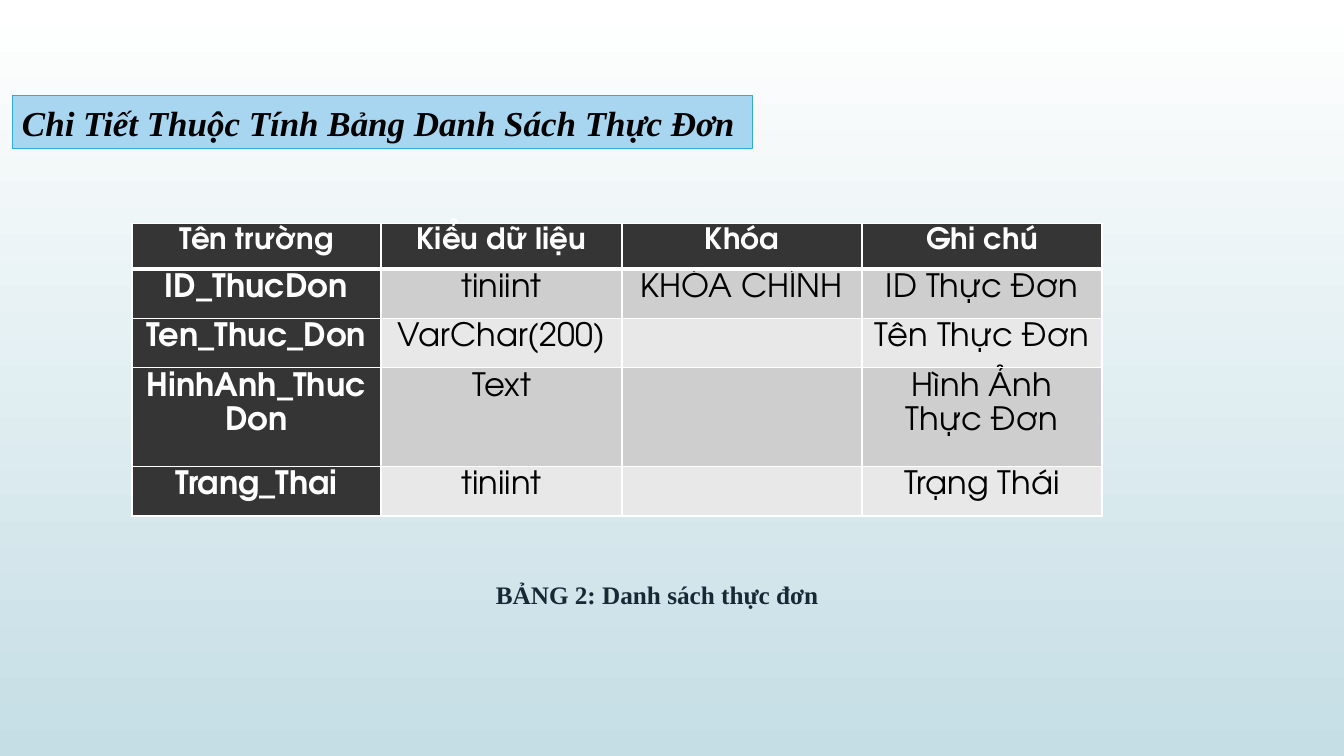
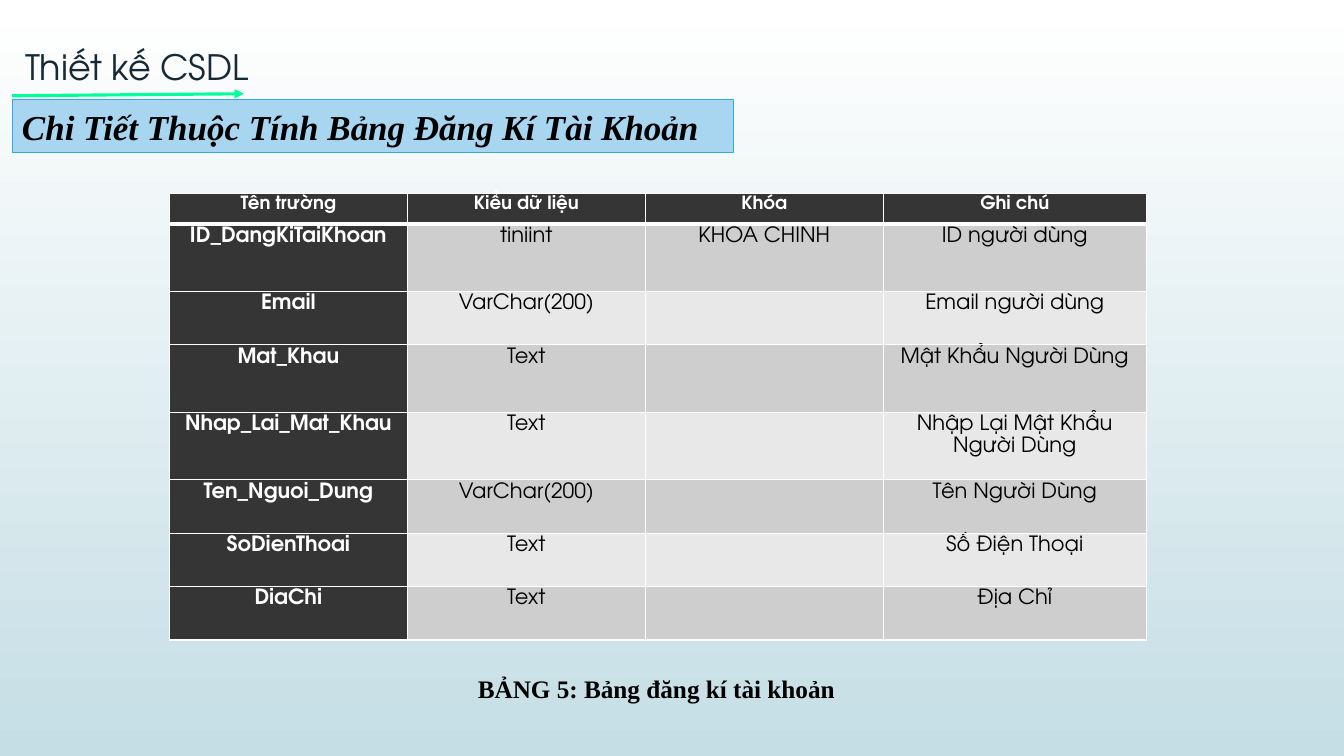
import pptx
import pptx.dml.color
import pptx.enum.dml
import pptx.enum.shapes
import pptx.enum.text
import pptx.oxml
import pptx.oxml.ns
import pptx.util
from pptx.util import Inches

RGBColor = pptx.dml.color.RGBColor
WHITE = RGBColor(0xFF, 0xFF, 0xFF)
BLACK = RGBColor(0x00, 0x00, 0x00)
INK = RGBColor(0x17, 0x29, 0x34)
MIST = RGBColor(0xC5, 0xDE, 0xE5)
CHARCOAL = RGBColor(0x35, 0x35, 0x35)
DARK_ROW = RGBColor(0xCE, 0xCE, 0xCE)
LIGHT_ROW = RGBColor(0xE8, 0xE8, 0xE8)
BAND_FILL = RGBColor(0xA8, 0xD5, 0xF0)
BAND_LINE = RGBColor(0x2F, 0xAC, 0xDC)
GREEN = RGBColor(0x00, 0xFF, 0x99)

SANS = "TeX Gyre Adventor"
SERIF = "Times New Roman"
LINE_SPACING = 1.15
HEADINGS = ("Tên trường", "Kiểu dữ liệu", "Khóa", "Ghi chú")

MENU_FIELDS = (
    ("ID_ThucDon", "tiniint", "KHÓA CHÍNH", "ID Thực Đơn"),
    ("Ten_Thuc_Don", "VarChar(200)", "", "Tên Thực Đơn"),
    ("HinhAnh_ThucDon", "Text", "", "Hình Ảnh Thực Đơn"),
    ("Trang_Thai", "tiniint", "", "Trạng Thái"),
)
ACCOUNT_FIELDS = (
    ("ID_DangKiTaiKhoan", "tiniint", "KHÓA CHÍNH", "ID người dùng"),
    ("Email", "VarChar(200)", "", "Email người dùng"),
    ("Mat_Khau", "Text", "", "Mật Khẩu Người Dùng"),
    ("Nhap_Lai_Mat_Khau", "Text", "", "Nhập Lại Mật Khẩu Người Dùng"),
    ("Ten_Nguoi_Dung", "VarChar(200)", "", "Tên Người Dùng"),
    ("SoDienThoai", "Text", "", "Số Điện Thoại"),
    ("DiaChi", "Text", "", "Địa Chỉ"),
)


def add_xml(parent, markup):
    """Append a DrawingML element, given without its namespace declaration."""
    head, rest = markup.split(" ", 1)
    parent.append(pptx.oxml.parse_xml(f"{head} {pptx.oxml.ns.nsdecls('a')} {rest}"))


class SchemaDeck:
    def __init__(self):
        self.deck = pptx.Presentation()
        self.deck.slide_width = Inches(13.33)
        self.deck.slide_height = Inches(7.5)
        self.page = None

    def new_page(self):
        self.page = self.deck.slides.add_slide(self.deck.slide_layouts[6])
        fill = self.page.background.fill
        fill.gradient()
        fill.gradient_angle = 270
        for stop, position, color in zip(fill.gradient_stops, (0, 1), (WHITE, MIST)):
            stop.position = position
            stop.color.rgb = color

    def set_text(self, frame, text, size, font, color, bold=False, italic=False):
        para = frame.paragraphs[0]
        para.text = text
        para.font.size = pptx.util.Pt(size)
        para.font.name = font
        para.font.color.rgb = color
        para.font.bold = bold
        para.font.italic = italic
        return para

    def text_box(self, left, top, width, height, wrap):
        box = self.page.shapes.add_textbox(
            Inches(left), Inches(top), Inches(width), Inches(height))
        box.text_frame.word_wrap = wrap
        box.text_frame.auto_size = pptx.enum.text.MSO_AUTO_SIZE.SHAPE_TO_FIT_TEXT
        return box.text_frame

    def title(self, text):
        frame = self.text_box(0.15, 0.4, 4.13, 0.52, True)
        self.set_text(frame, text, 25, SANS, INK)

    def caption(self, text, left, top, width, color, before=0, after=0, indent=0):
        frame = self.text_box(left, top, width, 0.45, False)
        para = self.set_text(frame, text, 18, SERIF, color, bold=True)
        para.line_spacing = LINE_SPACING
        para.space_before = pptx.util.Pt(before)
        para.space_after = pptx.util.Pt(after)
        para._p.get_or_add_pPr().set("marL", str(Inches(indent)))

    def band(self, text, top, width):
        band = self.page.shapes.add_shape(
            pptx.enum.shapes.MSO_SHAPE.RECTANGLE,
            Inches(0.12), Inches(top), Inches(width), Inches(0.52))
        band.shadow.inherit = False
        band.fill.solid()
        band.fill.fore_color.rgb = BAND_FILL
        band.line.color.rgb = BAND_LINE
        band.line.width = pptx.util.Pt(0.75)
        band.text_frame.word_wrap = True
        para = self.set_text(band.text_frame, text, 25, SERIF, BLACK, bold=True, italic=True)
        para.alignment = pptx.enum.text.PP_ALIGN.LEFT

    def arrow(self, start, end):
        arrow = self.page.shapes.add_connector(
            pptx.enum.shapes.MSO_CONNECTOR.STRAIGHT,
            *(Inches(value) for value in start + end))
        arrow.line.color.rgb = GREEN
        arrow.line.width = pptx.util.Pt(2.25)
        add_xml(arrow.line._get_or_add_ln(), '<a:tailEnd type="triangle"/>')
        add_xml(arrow._element.spPr, "<a:effectLst />")

    def borders(self, cell, row):
        """White rules, with a heavy one between the headings and the fields."""
        widths = {"L": 1, "R": 1, "T": 3 if row == 1 else 1, "B": 3 if row == 0 else 1}
        properties = cell._tc.get_or_add_tcPr()
        for side, points in widths.items():
            add_xml(properties,
                    f'<a:ln{side} w="{pptx.util.Pt(points)}"><a:solidFill>'
                    f'<a:srgbClr val="{WHITE}"/></a:solidFill></a:ln{side}>')

    def field_table(self, left, top, widths, heights, fields, heading_size, size, margin):
        rows = (HEADINGS,) + fields
        table = self.page.shapes.add_table(
            len(rows), len(widths), Inches(left), Inches(top),
            Inches(sum(widths)), Inches(sum(heights))).table
        for column, width in zip(table.columns, widths):
            column.width = Inches(width)
        for row, (texts, height) in enumerate(zip(rows, heights)):
            table.rows[row].height = Inches(height)
            for column, text in enumerate(texts):
                cell = table.cell(row, column)
                is_heading = row == 0 or column == 0
                self.borders(cell, row)
                cell.fill.solid()
                cell.fill.fore_color.rgb = (
                    CHARCOAL if is_heading else DARK_ROW if row % 2 else LIGHT_ROW)
                if not text:
                    continue
                cell.margin_left = cell.margin_right = Inches(margin)
                cell.margin_top = cell.margin_bottom = 0
                para = self.set_text(
                    cell.text_frame, text, size if row else heading_size, SANS,
                    WHITE if is_heading else BLACK, bold=is_heading)
                para.alignment = pptx.enum.text.PP_ALIGN.CENTER
                para.line_spacing = LINE_SPACING


def menu_page(show):
    show.new_page()
    show.field_table(1.31, 2.22, (2.47, 2.39, 2.38, 2.38),
                     (0.45, 0.49, 0.49, 0.98, 0.49), MENU_FIELDS, 21, 23, 0.12)
    show.caption("BẢNG 2: Danh sách thực đơn", 4.82, 5.65, 3.43, INK, before=10)
    show.band("Chi Tiết Thuộc Tính Bảng Danh Sách Thực Đơn", 0.95, 7.34)


def account_page(show):
    show.new_page()
    show.arrow((0.12, 0.95), (2.42, 0.93))
    show.title("Thiết kế CSDL")
    show.field_table(1.68, 1.92, (2.36, 2.36, 2.36, 2.61),
                     (0.3, 0.67, 0.53, 0.67, 0.67, 0.53, 0.53, 0.53),
                     ACCOUNT_FIELDS, 13, 15, 0.07)
    show.band("Chi Tiết Thuộc Tính Bảng Đăng Kí Tài Khoản", 0.99, 7.16)
    show.caption("BẢNG 5: Bảng đăng kí tài khoản", 4.14, 6.59, 4.28, BLACK,
                 after=10, indent=0.5)


def main():
    show = SchemaDeck()
    menu_page(show)
    account_page(show)
    show.deck.save("out.pptx")


if __name__ == "__main__":
    main()
